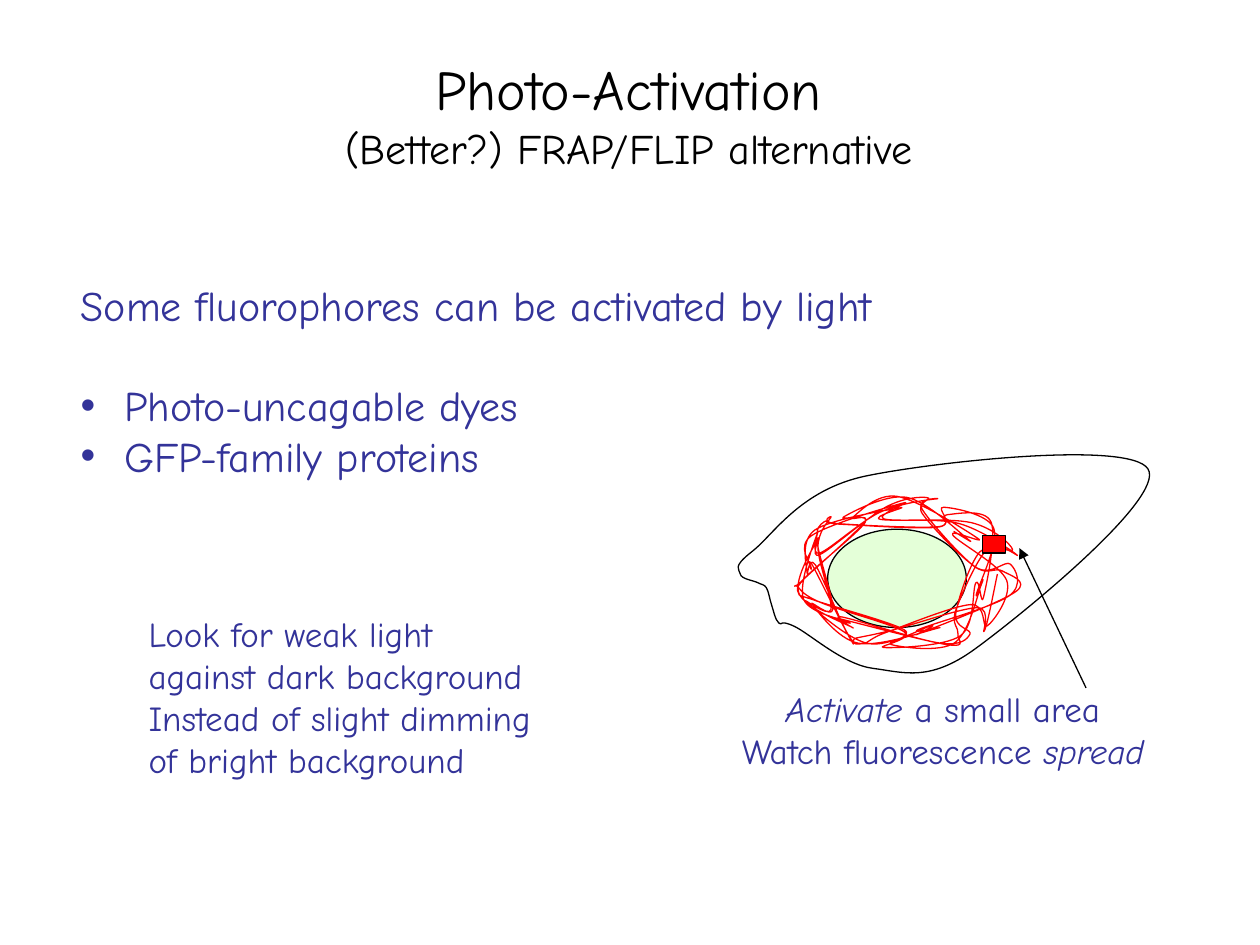
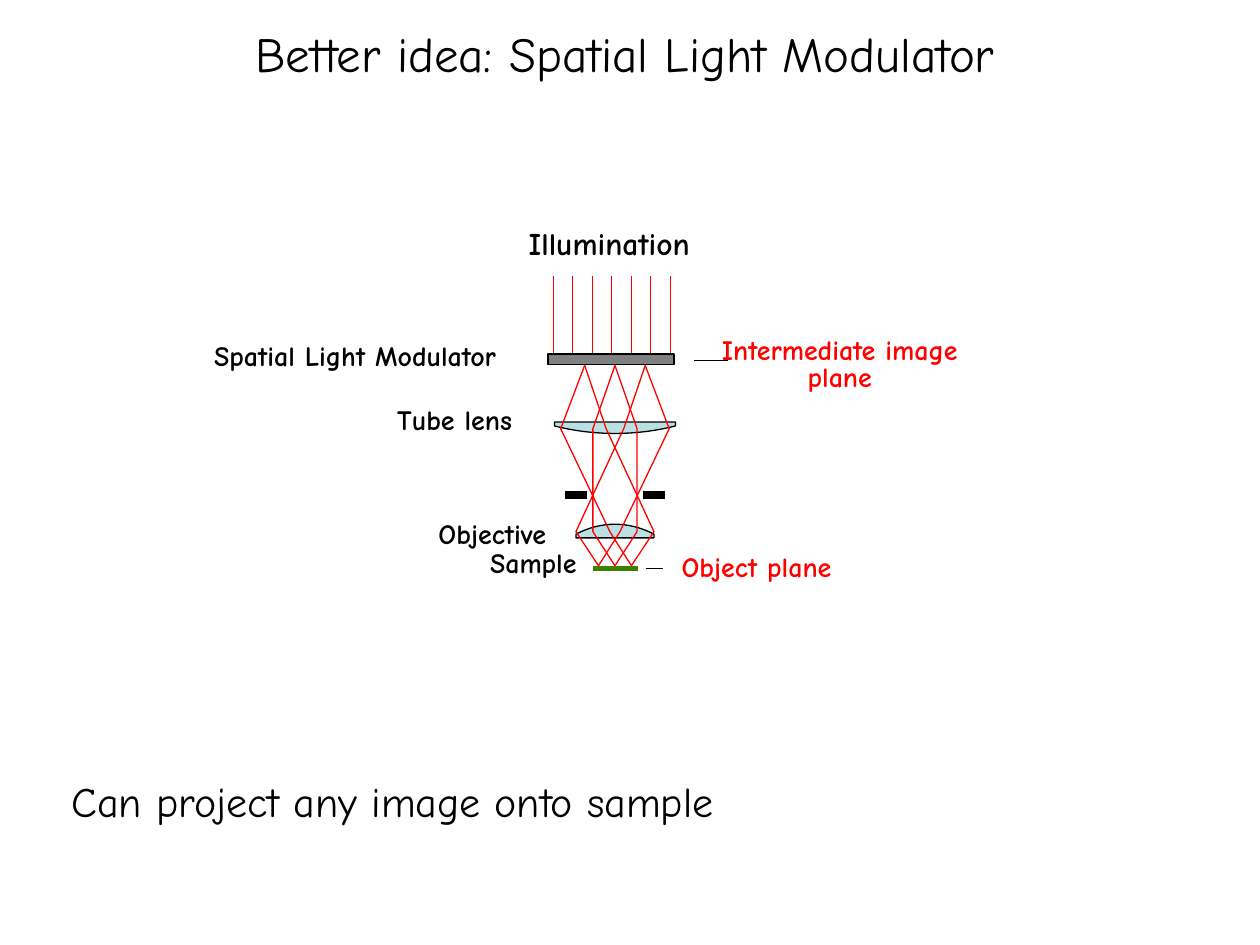
from math import cos, pi, sin

from lxml.etree import SubElement
from pptx import Presentation
from pptx.dml.color import RGBColor
from pptx.enum.shapes import MSO_CONNECTOR, MSO_SHAPE
from pptx.enum.text import MSO_ANCHOR, MSO_AUTO_SIZE, PP_ALIGN
from pptx.oxml.ns import qn
from pptx.util import Pt

FONT = "Comic Neue"
COLORS = {
    "black": "000000",
    "blue": "333399",
    "red": "FF0000",
    "gray": "808080",
    "green": "408000",
    "nucleus": "E4FFD8",
    "glass": "BBE0E3",
}
THIN_LINE = 0.75

# Cell: points in pt that its smooth outline runs through, clockwise
CELL_TAIL = [(433, 333), (423, 328), (430, 315)]
CELL_BACK = [(495, 272), (656, 268)]
CELL_BELLY = [(557, 371), (499, 382), (454, 358)]
CELL_NOTCH = [(445, 356), (441, 346), (438, 336)]
NUCLEUS_CENTER = (512.6, 330.5)
NUCLEUS_RADII = (39.6, 28.1)

# Membrane thread: a wavering path that circles the nucleus many times
MEMBRANE_TURNS = 8
POINTS_PER_TURN = 13
MEMBRANE_CENTER = (515, 328)
MEMBRANE_RADII = (55, 38)
WAVER = 0.17  # share of the radius

# Optics: heights in pt, and ray distances from the optical axis at each height
OPTICAL_AXIS = 351.4
RAY_HEIGHTS = {"sample": 323.3, "objective": 303.8, "tube lens": 245, "modulator": 208.8}
RAY_OFFSETS = [
    (0, 12.6, 12.6, 0),
    (9.4, -2.9, -31, -17.3),
    (9.4, 22.3, -5, -17.3),
]
SAMPLE_HEIGHT = 324.7
STOP_HEIGHT = 283
STOP_EDGES = (16, 28.6)
BEAM_COUNT = 7
FIRST_BEAM, BEAM_STEP = 316.1, 11.16
BEAM_TOP, BEAM_BOTTOM = 157.7, 201.6

# Text, left, top, width, colour of the one-line labels
OPTICS_LABELS = [
    ("Sample", 272, 308.2, 65.5, "black"),
    ("Objective", 238.8, 291.6, 85, "black"),
    ("Tube lens", 217.7, 226.5, 84.2, "black"),
    ("Spatial Light Modulator", 105.8, 190.1, 194.4, "black"),
    ("Object plane", 377.2, 310.6, 110.2, "red"),
]


def color(name):
    return RGBColor.from_string(COLORS[name])


def place(shape, box):
    for side, length in zip(("left", "top", "width", "height"), box):
        setattr(shape, side, Pt(length))


def write(frame, paragraphs, font_color, align=PP_ALIGN.LEFT, line_spacing=1.0, **font):
    """Fill a frame; each paragraph is a list of (text, font overrides)."""
    layout = {"alignment": align, "line_spacing": line_spacing,
              "space_before": Pt(0), "space_after": Pt(0)}
    for index, runs in enumerate(paragraphs):
        paragraph = frame.add_paragraph() if index else frame.paragraphs[0]
        for name, value in layout.items():
            setattr(paragraph, name, value)
        for text, overrides in runs:
            run = paragraph.add_run()
            run.text = text
            for name, value in {"name": FONT, **font, **overrides}.items():
                setattr(run.font, name, value)
            run.font.color.rgb = color(font_color)


def add_title(slide, box, paragraphs):
    title = slide.shapes.title
    place(title, box)
    title.text_frame.vertical_anchor = MSO_ANCHOR.MIDDLE
    title.text_frame.auto_size = MSO_AUTO_SIZE.NONE
    write(title.text_frame, paragraphs, "black", PP_ALIGN.CENTER)


def add_text(slide, box, paragraphs, font_color, wrap=False, **style):
    frame = slide.shapes.add_textbox(*map(Pt, box)).text_frame
    frame.word_wrap = wrap
    write(frame, paragraphs, font_color, **style)


def add_label(slide, box, text, font_color="black", size=16, **style):
    add_text(slide, box, [[(text, {})]], font_color, align=PP_ALIGN.CENTER,
             size=Pt(size), bold=True, **style)


def add_bulleted_body(slide, box, lead, items):
    body = slide.placeholders[1]
    place(body, box)
    frame = body.text_frame
    frame.word_wrap = False
    frame.auto_size = MSO_AUTO_SIZE.NONE
    write(frame, [[(text, {})] for text in [lead, *items]], "blue", size=Pt(24))
    for index, paragraph in enumerate(frame.paragraphs):
        properties = paragraph._p.get_or_add_pPr()
        indent = Pt(25) if index else 0
        properties.set("marL", str(indent))
        properties.set("indent", str(-indent))
        if index:
            SubElement(properties, qn("a:buChar")).set("char", "•")
        else:
            SubElement(properties, qn("a:buNone"))
    frame.paragraphs[1].space_before = Pt(28.5)


def finish(shape, fill, line):
    shape.shadow.inherit = False
    if fill:
        shape.fill.solid()
        shape.fill.fore_color.rgb = color(fill)
    else:
        shape.fill.background()
    shape.line.color.rgb = color(line)
    shape.line.width = Pt(THIN_LINE)


def add_preset(slide, kind, box, fill):
    finish(slide.shapes.add_shape(kind, *map(Pt, box)), fill, "black")


def add_line(slide, start, end, line="black", width=THIN_LINE, arrow=False):
    connector = slide.shapes.add_connector(
        MSO_CONNECTOR.STRAIGHT, *map(Pt, (*start, *end)))
    connector.line.color.rgb = color(line)
    connector.line.width = Pt(width)
    properties = connector._element.spPr
    if arrow:
        SubElement(properties.find(qn("a:ln")), qn("a:tailEnd")).set("type", "triangle")
    SubElement(properties, qn("a:effectLst"))


def add_outline(slide, points, line, fill=None, closed=False, curved=False):
    start, *rest = [(Pt(x), Pt(y)) for x, y in points]
    builder = slide.shapes.build_freeform(*start)
    builder.add_line_segments(rest, close=closed)
    shape = builder.convert_to_shape()
    if curved:
        bend_segments(shape)
    finish(shape, fill, line)


def bend_segments(shape):
    """Turn each three straight segments into one cubic curve."""
    path = next(shape._element.iter(qn("a:path")))
    segments = path.findall(qn("a:lnTo"))
    for first in range(0, len(segments), 3):
        curve = SubElement(path, qn("a:cubicBezTo"))
        segments[first].addprevious(curve)
        for segment in segments[first:first + 3]:
            curve.append(segment[0])
            path.remove(segment)


def smooth(anchors, closed=False):
    """Give the cubic curve points of a Catmull-Rom spline."""
    if closed:
        padded = [anchors[-1], *anchors, *anchors[:2]]
    else:
        padded = [anchors[0], *anchors, anchors[-1]]
    points = [anchors[0]]
    for before, start, end, after in zip(padded, padded[1:], padded[2:], padded[3:]):
        points.append(tuple(s + (e - b) / 6 for b, s, e in zip(before, start, end)))
        points.append(tuple(e - (a - s) / 6 for s, e, a in zip(start, end, after)))
        points.append(end)
    return points


def membrane_anchors():
    """Circle the nucleus, wavering in angle and radius, most on the right."""
    anchors = []
    for step in range(MEMBRANE_TURNS * POINTS_PER_TURN):
        angle = 2 * pi * step / POINTS_PER_TURN + 0.4 * sin(2.3 * step)
        reach = 1 + WAVER * (1 + 0.4 * cos(angle)) * sin(1.7 * step)
        anchors.append((MEMBRANE_CENTER[0] + MEMBRANE_RADII[0] * reach * cos(angle),
                        MEMBRANE_CENTER[1] + MEMBRANE_RADII[1] * reach * sin(angle)))
    return anchors


def add_cell(slide):
    outline = CELL_TAIL + CELL_BACK + CELL_BELLY + CELL_NOTCH
    add_outline(slide, smooth(outline, closed=True), "black", closed=True, curved=True)
    corner = [center - radius for center, radius in zip(NUCLEUS_CENTER, NUCLEUS_RADII)]
    diameters = [2 * radius for radius in NUCLEUS_RADII]
    add_preset(slide, MSO_SHAPE.OVAL, (*corner, *diameters), "nucleus")
    add_outline(slide, smooth(membrane_anchors()), "red", curved=True)


def add_lens(slide, flat_y, edge_y, bulge_y, half_width, bulge_half_width):
    """Draw a lens around the optical axis, flat on one side."""
    left, right = OPTICAL_AXIS - half_width, OPTICAL_AXIS + half_width
    points = [(left, edge_y)]
    for corner in [(left, flat_y), (right, flat_y), (right, edge_y)]:
        points += [points[-1], corner, corner]
    bulge = [(OPTICAL_AXIS + side * bulge_half_width, bulge_y) for side in (1, -1)]
    add_outline(slide, [*points, *bulge, points[0]], "black", "glass",
                closed=True, curved=True)


def add_imaging_rays(slide):
    for offsets in RAY_OFFSETS:
        for side in (-1, 1):
            ray = [(OPTICAL_AXIS + side * offset, height)
                   for offset, height in zip(offsets, RAY_HEIGHTS.values())]
            add_outline(slide, ray, "red")


def add_aperture_stop(slide):
    for side in (-1, 1):
        inner, outer = [(OPTICAL_AXIS + side * edge, STOP_HEIGHT) for edge in STOP_EDGES]
        add_line(slide, inner, outer, width=4.5)


def add_illumination_beams(slide):
    for index in range(BEAM_COUNT):
        beam_x = FIRST_BEAM + BEAM_STEP * index
        add_line(slide, (beam_x, BEAM_TOP), (beam_x, BEAM_BOTTOM), "red")


def build_photo_activation(presentation):
    slide = presentation.slides.add_slide(presentation.slide_layouts[1])
    add_title(slide, (53.3, 20, 612, 90), [
        [("Photo-Activation", {"size": Pt(32)})],
        [("(Better?) FRAP/FLIP alternative", {"size": Pt(24)})],
    ])
    add_bulleted_body(slide, (38.9, 156.2, 506.9, 128.2),
                      "Some fluorophores can be activated by light",
                      ["Photo-uncagable dyes", "GFP-family proteins"])
    add_text(slide, (406.3, 389.3, 265, 57.6), [
        [("Activate", {"italic": True}), (" a small area", {})],
        [("Watch fluorescence ", {}), ("spread", {"italic": True})],
    ], "blue", align=PP_ALIGN.CENTER, size=Pt(20))
    add_cell(slide)
    add_preset(slide, MSO_SHAPE.RECTANGLE, (561.6, 306, 13, 10), "red")
    add_line(slide, (620.6, 393.1), (582.5, 313.2), arrow=True)
    advice = ["Look for weak light", "against dark background",
              "Instead of slight dimming", "of bright background"]
    add_text(slide, (77.8, 346.3, 247, 108), [[(line, {})] for line in advice],
             "blue", size=Pt(20))


def build_light_modulator(presentation):
    slide = presentation.slides.add_slide(presentation.slide_layouts[5])
    add_title(slide, (90.7, 0, 532.8, 60),
              [[("Better idea: Spatial Light Modulator", {"size": Pt(28)})]])
    for text, left, top, width, font_color in OPTICS_LABELS:
        add_label(slide, (left, top, width, 27.4), text, font_color)
    add_label(slide, (403.2, 190.1, 153.4, 39.6), "Intermediate image plane",
              "red", wrap=True, line_spacing=0.8)
    add_label(slide, (283.7, 124.6, 128.9, 28.8), "Illumination", size=18, wrap=True)

    add_lens(slide, flat_y=241.2, edge_y=243.4, bulge_y=249.1,
             half_width=34.6, bulge_half_width=12.2)
    add_lens(slide, flat_y=307.4, edge_y=305.3, bulge_y=297.7,
             half_width=22.3, bulge_half_width=7.9)
    add_line(slide, (339.1, SAMPLE_HEIGHT), (364.7, SAMPLE_HEIGHT), "green", 3)
    add_imaging_rays(slide)
    add_aperture_stop(slide)
    for left, right, height in [(396.7, 416.2, 205.9), (369, 379.1, SAMPLE_HEIGHT)]:
        add_line(slide, (left, height), (right, height))
    add_preset(slide, MSO_SHAPE.RECTANGLE, (313.2, 202.3, 72, 5.8), "gray")
    add_illumination_beams(slide)
    add_text(slide, (33.8, 439.5, 648.7, 36), [[("Can project any image onto sample", {})]],
             "black", wrap=True, size=Pt(24))


def main():
    presentation = Presentation()
    presentation.slide_width = Pt(720)
    presentation.slide_height = Pt(540)
    build_photo_activation(presentation)
    build_light_modulator(presentation)
    presentation.save("out.pptx")


if __name__ == "__main__":
    main()
